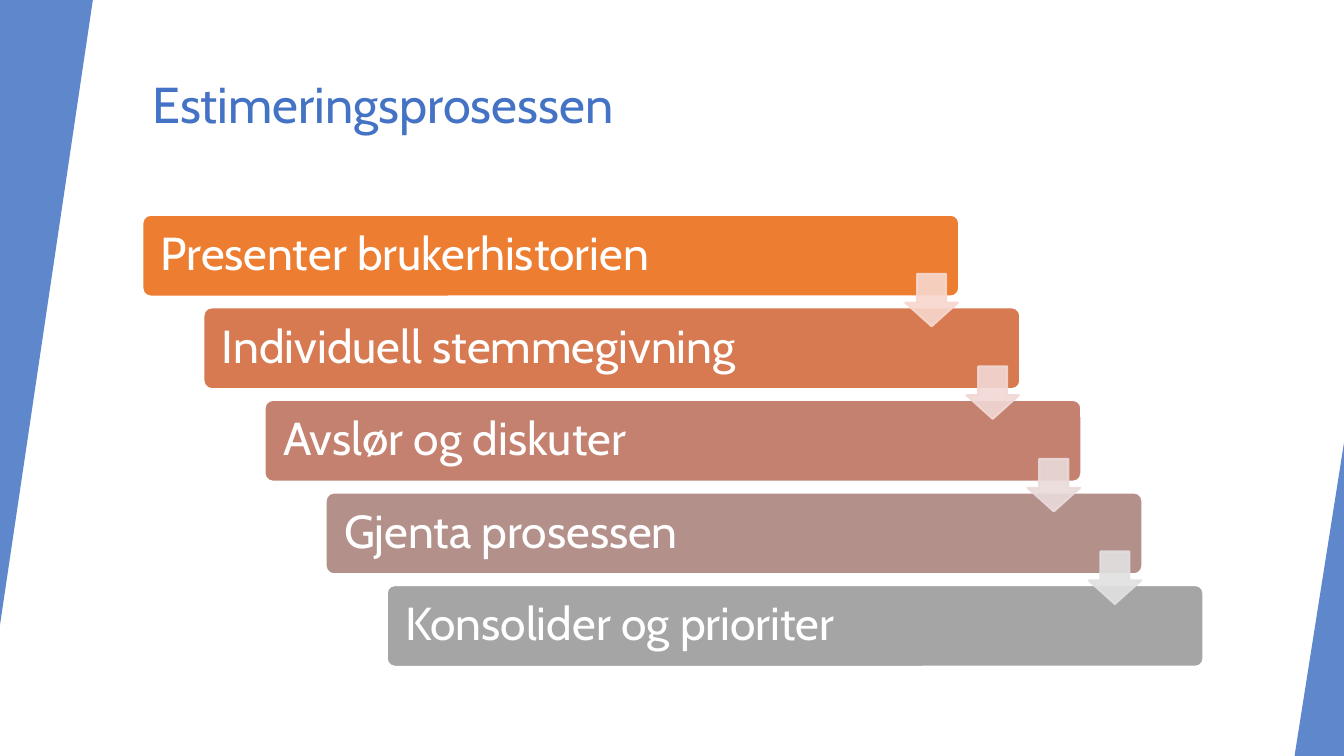
from lxml import etree
from pptx import Presentation
from pptx import util as u
from pptx.dml.color import RGBColor
from pptx.enum import shapes, text
from pptx.oxml.ns import qn

FONT = "Cabin"
COLS, ROWS = 22, 49
HUES = {"blue": "4472C4", "white": "FFFFFF"}
KIND = shapes.MSO_SHAPE

# Step label, bar colour, colour of the arrow to the next step
STEPS = [
    ("Presenter brukerhistorien", "ED7D31", "F8D7CE"),
    ("Individuell stemmegivning", "D87A51", "F1D8D4"),
    ("Avslør og diskuter", "C48170", "E9DBDA"),
    ("Gjenta prosessen", "B4908B", "E1E1E1"),
    ("Konsolider og prioriter", "A5A5A5", None),
]


class Deck:
    def __init__(self):
        self.prs = Presentation()
        self.prs.slide_width = u.Inches(13.33)
        self.prs.slide_height = u.Inches(7.5)
        self.slide = self.prs.slides.add_slide(self.prs.slide_layouts[5])

    def grid(self, x, y, w, h):
        """Turn columns and rows into slide lengths."""
        col = self.prs.slide_width / COLS
        row = self.prs.slide_height / ROWS
        return [u.Emu(round(n)) for n in (x * col, y * row, w * col, h * row)]

    def label(self, frame, words, size, hue):
        para = frame.paragraphs[0]
        para.alignment = text.PP_ALIGN.LEFT
        run = para.add_run()
        run.text = words
        run.font.name = FONT
        run.font.size = u.Pt(size)
        run.font.color.rgb = RGBColor.from_string(hue)
        return para

    def title(self, words, *box):
        head = self.slide.shapes.title
        head.left, head.top, head.width, head.height = self.grid(*box)
        frame = head.text_frame
        frame.auto_size = text.MSO_AUTO_SIZE.NONE
        frame.vertical_anchor = text.MSO_ANCHOR.TOP
        self.label(frame, words, 36, HUES["blue"])

    def shape(self, kind, box, fill, line=None, adj=(), alpha=100):
        item = self.slide.shapes.add_shape(kind, *self.grid(*box))
        item.shadow.inherit = False
        item.fill.solid()
        item.fill.fore_color.rgb = RGBColor.from_string(fill)
        if line:
            item.line.color.rgb = RGBColor.from_string(line)
            item.line.width = u.Pt(1.5)
        else:
            item.line.fill.background()
        for i, value in enumerate(adj):
            item.adjustments[i] = value
        if alpha < 100:
            for node in item._element.iter(qn("a:srgbClr")):
                etree.SubElement(node, qn("a:alpha"), val=str(alpha * 1000))
        return item

    def wedge(self, *box, turn=0):
        item = self.shape(KIND.ISOSCELES_TRIANGLE, box, HUES["blue"],
                          adj=[1], alpha=85)
        item.rotation = turn

    def bar(self, words, fill, *box):
        item = self.shape(KIND.ROUNDED_RECTANGLE, box, fill,
                          HUES["white"], [0.1])
        frame = item.text_frame
        frame.word_wrap = True
        frame.vertical_anchor = text.MSO_ANCHOR.MIDDLE
        frame.margin_left = frame.margin_right = u.Inches(0.16)
        para = self.label(frame, words, 33, HUES["white"])
        para.line_spacing = 0.9

    def arrow(self, hue, *box):
        # Adjustments run shaft width first, then head length
        self.shape(KIND.DOWN_ARROW, box, hue, hue, [0.55, 0.45], 90)


def main():
    deck = Deck()
    deck.title("Estimeringsprosessen", 2.33, 4.38, 18.4, 7.8)
    deck.wedge(0, 0, 1.52, 40.5, turn=180)
    deck.wedge(21.19, 28.68, 0.81, 20.32)
    # Each step moves one column right and six rows down
    for i, (words, fill, _) in enumerate(STEPS):
        deck.bar(words, fill, 2.33 + i, 13.92 + 6 * i, 13.37, 5.3)
    for i, (_, _, hue) in enumerate(STEPS[:-1]):
        deck.arrow(hue, 14.82 + i, 17.75 + 6 * i, 0.86, 3.4)
    deck.prs.save("out.pptx")


if __name__ == "__main__":
    main()
